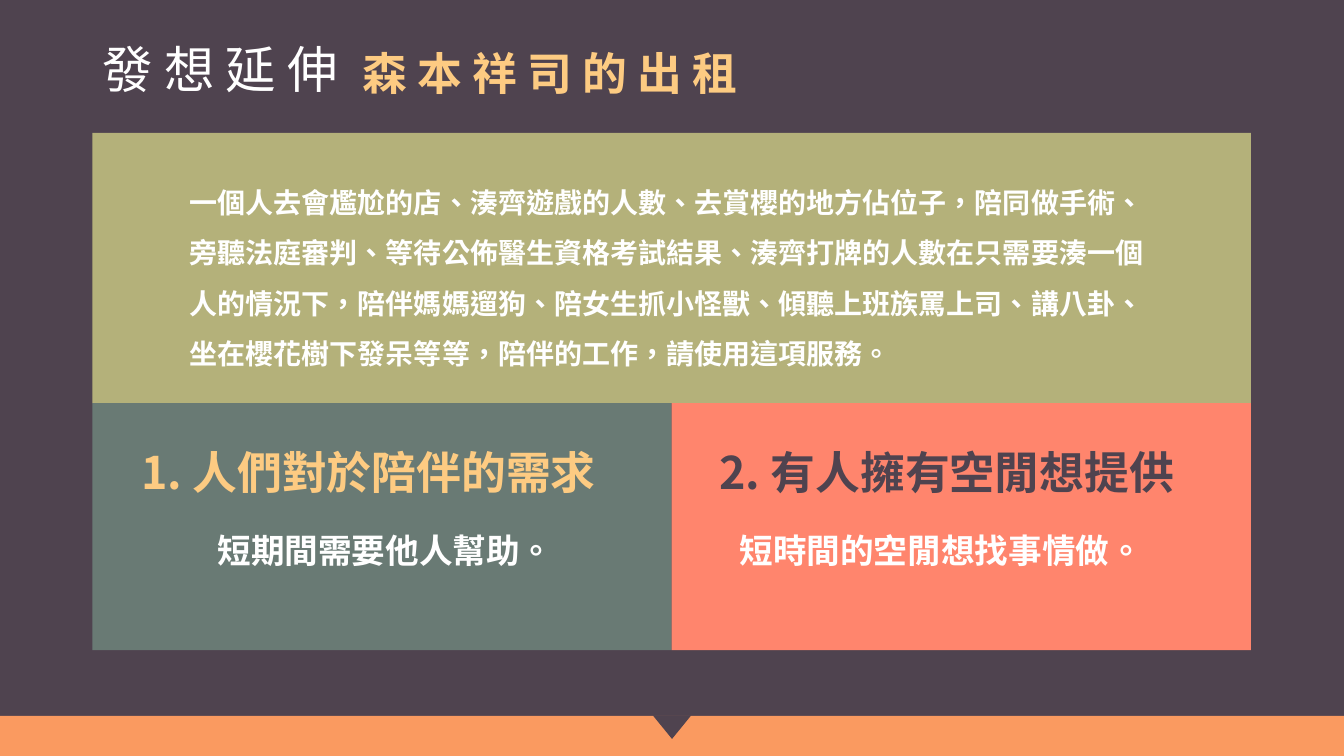
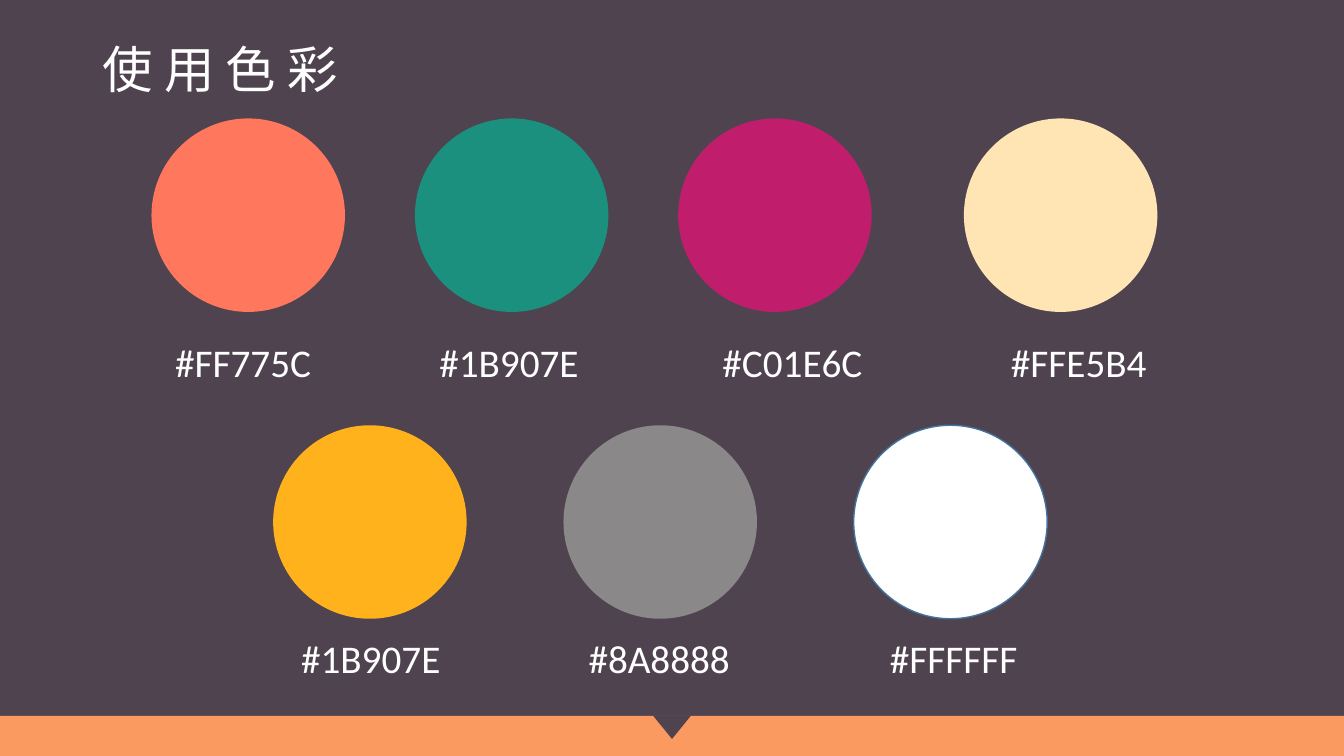
from lxml.etree import SubElement
from pptx import Presentation
from pptx.dml.color import RGBColor as RGB
from pptx.enum.shapes import MSO_SHAPE as SHAPE
from pptx.oxml.ns import qn
from pptx.util import Pt

WIDTH, HEIGHT = 960, 540
BAND_TOP = 511.4
PLUM = RGB(0x4F, 0x43, 0x4F)
ORANGE = RGB(0xFA, 0x9A, 0x60)
OLIVE = RGB(0xB4, 0xB1, 0x7A)
SLATE = RGB(0x69, 0x7A, 0x74)
CORAL = RGB(0xFF, 0x85, 0x6D)
CREAM = RGB(0xFD, 0xCB, 0x82)
WHITE = RGB(0xFF, 0xFF, 0xFF)
RIM = RGB(0x43, 0x73, 0x9E)
LATIN, BODY, CJK = "Calibri", "Manrope", "Noto Sans CJK SC"

INTRO = [
    "一個人去會尷尬的店、湊齊遊戲的人數、去賞櫻的地方佔位子，陪同做手術、",
    "旁聽法庭審判、等待公佈醫生資格考試結果、湊齊打牌的人數在只需要湊一個",
    "人的情況下，陪伴媽媽遛狗、陪女生抓小怪獸、傾聽上班族罵上司、講八卦、"
    "坐在櫻花樹下發呆等等，陪伴的工作，請使用這項服務。",
]

# Each row: circle top, label top, swatches
# Each swatch: circle left, label left, fill, label
SWATCH_ROWS = [
    (84.6, 237.8, [
        (108.2, 118, "FF775C", "#FF775C"),
        (296.4, 306.7, "1B907E", "#1B907E"),
        (484.4, 509, "C01E6C", "#C01E6C"),
        (688.5, 715, "FFE5B4", "#FFE5B4"),
    ]),
    (303.8, 449.6, [
        (195.1, 208, "FFB21C", "#1B907E"),
        (402.5, 413.3, "8A8888", "#8A8888"),
        (609.8, 628.6, "FFFFFF", "#FFFFFF"),
    ]),
]


def add_block(s, kind, x, y, w, h, color):
    sp = s.shapes.add_shape(kind, Pt(x), Pt(y), Pt(w), Pt(h))
    sp.shadow.inherit = False
    sp.fill.solid()
    sp.fill.fore_color.rgb = color
    sp.line.fill.background()
    return sp


def add_text(s, x, y, w, h, lines, size, font, color=WHITE, bold=False,
             spacing=None, wrap=True):
    sp = s.shapes.add_textbox(Pt(x), Pt(y), Pt(w), Pt(h))
    tf = sp.text_frame
    tf.word_wrap = wrap
    tf.text = "\n".join(lines)
    for p in tf.paragraphs:
        p.line_spacing = spacing
        f = p.font
        f.size, f.name, f.bold = Pt(size), font, bold
        f.color.rgb = color
        # Same typeface for East Asian characters
        props = p._p.pPr.find(qn("a:defRPr"))
        SubElement(props, qn("a:ea")).set("typeface", font)
        # Traditional Chinese centres the punctuation marks
        for r in p.runs:
            r._r.get_or_add_rPr().set("lang", "zh-TW")


def add_base(prs, title):
    """Slide with background, footer band, notch and title."""
    s = prs.slides.add_slide(prs.slide_layouts[6])
    s.background.fill.solid()
    s.background.fill.fore_color.rgb = PLUM
    add_block(s, SHAPE.RECTANGLE, 0, BAND_TOP, WIDTH, HEIGHT - BAND_TOP, ORANGE)
    notch = add_block(s, SHAPE.ISOSCELES_TRIANGLE, 466.3, BAND_TOP - 0.4, 27.4, 16.8, PLUM)
    notch.rotation = 180
    add_text(s, 66, 28.8, 828, 46.8, [title], 36, LATIN, spacing=0.9)
    return s


def add_intro(s, x, y, w, h):
    add_block(s, SHAPE.RECTANGLE, x, y, w, h, OLIVE)
    add_text(s, x + 62.4, y + 22, 703, 149, INTRO, 20, BODY, bold=True, spacing=1.5)


def add_point(s, x, y, w, h, fill, heading, heading_dx, color, detail, detail_dx):
    add_block(s, SHAPE.RECTANGLE, x, y, w, h, fill)
    add_text(s, x + heading_dx, y + 25.9, 358.6, 33, [heading], 32, CJK, color, True)
    add_text(s, x + detail_dx, y + 87.1, 303, 33, [detail], 24, CJK, bold=True)


def add_swatches(s, y, label_y, swatches, size=138.2):
    for x, label_x, code, label in swatches:
        color = RGB.from_string(code)
        dot = add_block(s, SHAPE.OVAL, x, y, size, size, color)
        if color == WHITE:
            dot.line.color.rgb = RIM
            dot.line.width = Pt(1)
        add_text(s, label_x, label_y, 120, 41, [label], 28, LATIN)


def idea_slide(prs):
    s = add_base(prs, "發 想 延 伸")
    add_text(s, 252, 28.8, 301, 33, ["森 本 祥 司 的 出 租"], 32, CJK, CREAM, True)
    left, top, half = 66, 288, 413.8
    add_intro(s, left, 95, 2 * half, top - 95)
    add_point(s, left, top, half, 176.4, SLATE,
              "1. 人們對於陪伴的需求", 27.8, CREAM, "短期間需要他人幫助。", 82.3)
    add_point(s, left + half, top, half, 176.4, CORAL,
              "2. 有人擁有空閒想提供", 27, PLUM, "短時間的空閒想找事情做。", 41.4)


def palette_slide(prs):
    s = add_base(prs, "使 用 色 彩")
    for y, label_y, swatches in SWATCH_ROWS:
        add_swatches(s, y, label_y, swatches)


def main():
    prs = Presentation()
    prs.slide_width, prs.slide_height = Pt(WIDTH), Pt(HEIGHT)
    idea_slide(prs)
    palette_slide(prs)
    prs.save("out.pptx")


if __name__ == "__main__":
    main()
